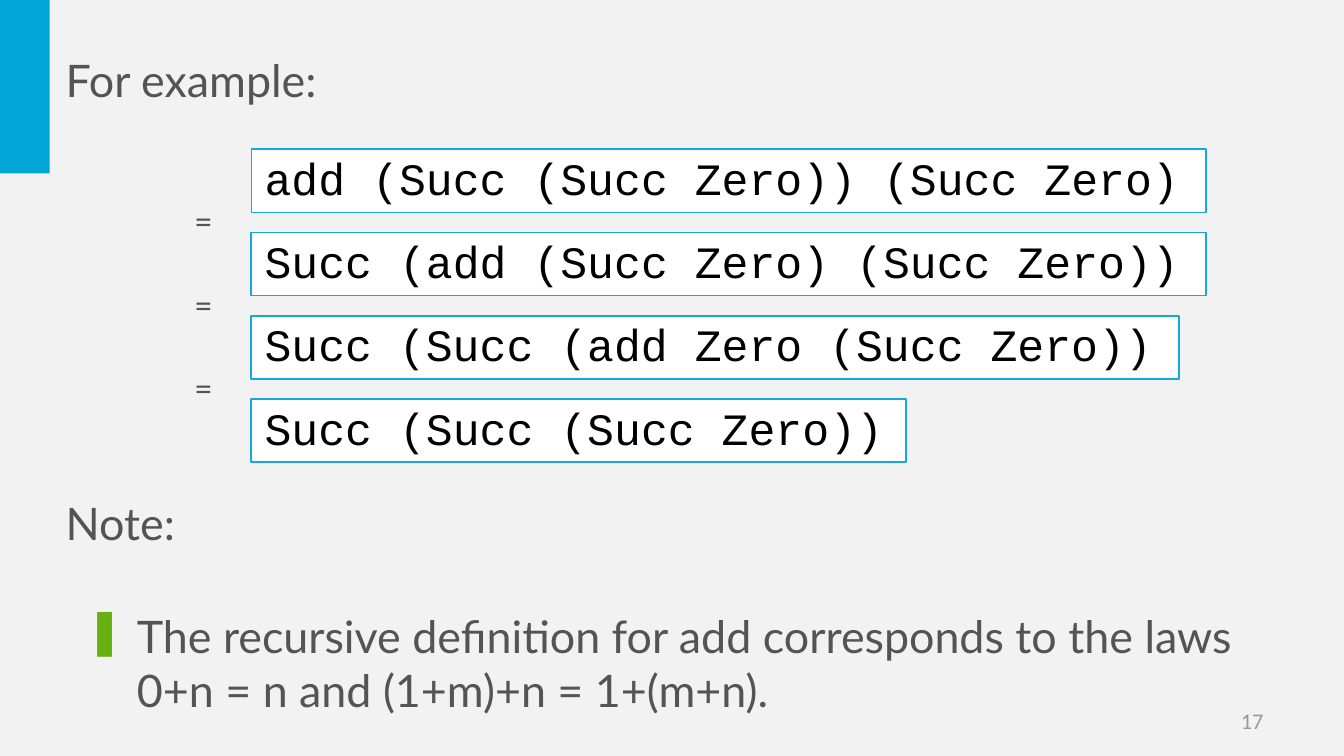
import pptx
import pptx.util
import pptx.dml.color
import pptx.enum.shapes
import pptx.enum.text
import pptx.oxml
import pptx.oxml.ns

Pt = pptx.util.Pt
RGBColor = pptx.dml.color.RGBColor
ALIGN = pptx.enum.text.PP_ALIGN
ANCHOR = pptx.enum.text.MSO_ANCHOR
RECTANGLE = pptx.enum.shapes.MSO_SHAPE.RECTANGLE

BACKGROUND = RGBColor(0xF2, 0xF2, 0xF2)
ACCENT = RGBColor(0x00, 0xA6, 0xD6)
BORDER = RGBColor(0x15, 0xA8, 0xDB)
WHITE = RGBColor(0xFF, 0xFF, 0xFF)
BLACK = RGBColor(0x00, 0x00, 0x00)
BODY = RGBColor(0x54, 0x54, 0x54)
MUTED = RGBColor(0x99, 0x99, 0x99)
BULLET = "66B010"

BODY_FONT = {"name": "Lato", "size": Pt(24), "color": BODY}
CODE_FONT = {"name": "Courier New", "size": Pt(24), "color": BLACK}
EQUALS_FONT = {"name": "Calibri", "size": Pt(18), "color": BODY}
NUMBER_FONT = {"name": "Calibri", "size": Pt(12), "color": MUTED}

STEPS = [
    "add (Succ (Succ Zero)) (Succ Zero)",
    "Succ (add (Succ Zero) (Succ Zero))",
    "Succ (Succ (add Zero (Succ Zero))",
    "Succ (Succ (Succ Zero))",
]
STEP_PITCH = 44.64
CHARACTER_WIDTH = 14.6
CODE_PADDING = 15


def write(shape, text, font, frame_format, paragraph_format):
    frame = shape.text_frame
    for name, value in frame_format.items():
        setattr(frame, name, value)
    paragraph = frame.paragraphs[0]
    for name, value in paragraph_format.items():
        setattr(paragraph, name, value)
    run = paragraph.add_run()
    run.text = text
    for name, value in font.items():
        if name == "color":
            run.font.color.rgb = value
        else:
            setattr(run.font, name, value)
    return paragraph


def add_text(slide, box, text, font, alignment=ALIGN.LEFT, **frame_format):
    shape = slide.shapes.add_textbox(*map(Pt, box))
    settings = {"word_wrap": True, "vertical_anchor": ANCHOR.MIDDLE, **frame_format}
    return write(shape, text, font, settings, {"alignment": alignment})


def add_rectangle(slide, box, fill, border=None, border_width=0):
    shape = slide.shapes.add_shape(RECTANGLE, *map(Pt, box))
    shape.shadow.inherit = False
    shape.fill.solid()
    shape.fill.fore_color.rgb = fill
    if border is None:
        shape.line.fill.background()
    else:
        shape.line.color.rgb = border
        shape.line.width = Pt(border_width)
    return shape


def add_derivation(slide, left, top):
    for index, step in enumerate(STEPS):
        step_top = top + index * STEP_PITCH
        width = len(step) * CHARACTER_WIDTH + CODE_PADDING
        box = (left + 37.44, step_top, width, 33.84)
        shape = add_rectangle(slide, box, WHITE, BORDER, 1 if index else 0.75)
        write(shape, step, CODE_FONT,
              {"word_wrap": True, "vertical_anchor": ANCHOR.MIDDLE},
              {"alignment": ALIGN.LEFT, "line_spacing": 0.9})
        if index:
            add_text(slide, (left, step_top - 20.88, 23.76, 28.8), "=",
                     EQUALS_FONT, ALIGN.CENTER, margin_left=0, margin_right=0)


def add_note(slide, left, top):
    add_text(slide, (left, top, 73.44, 36.72), "Note:", BODY_FONT,
             word_wrap=False, vertical_anchor=ANCHOR.TOP)
    paragraph = add_text(
        slide, (left + 10.8, top + 60.48, 647.28, 62.64),
        "The recursive definition for add corresponds to the laws "
        "0+n = n and (1+m)+n = 1+(m+n).",
        BODY_FONT, vertical_anchor=ANCHOR.TOP)
    properties = paragraph._p.get_or_add_pPr()
    properties.set("marL", str(Pt(27.36)))
    properties.set("indent", str(-Pt(27.36)))
    namespace = pptx.oxml.ns.nsdecls("a")
    for element in (
        f'<a:buClr {namespace}><a:srgbClr val="{BULLET}"/></a:buClr>',
        f'<a:buChar {namespace} char="❚"/>',
    ):
        properties.append(pptx.oxml.parse_xml(element))


def build_slide(presentation):
    slide = presentation.slides.add_slide(presentation.slide_layouts[6])
    slide.background.fill.solid()
    slide.background.fill.fore_color.rgb = BACKGROUND
    add_rectangle(slide, (0, 0, 26.64, 92.88), ACCENT)
    add_text(slide, (516.24, 375.12, 167.76, 21.6), "17", NUMBER_FONT, ALIGN.RIGHT)
    add_text(slide, (28.08, 24.48, 636.48, 36), "For example:", BODY_FONT)
    add_derivation(slide, 97.2, 79.92)
    add_note(slide, 28.08, 262.08)


def main():
    presentation = pptx.Presentation()
    presentation.slide_width = Pt(720)
    presentation.slide_height = Pt(405)
    build_slide(presentation)
    presentation.save("out.pptx")


if __name__ == "__main__":
    main()
